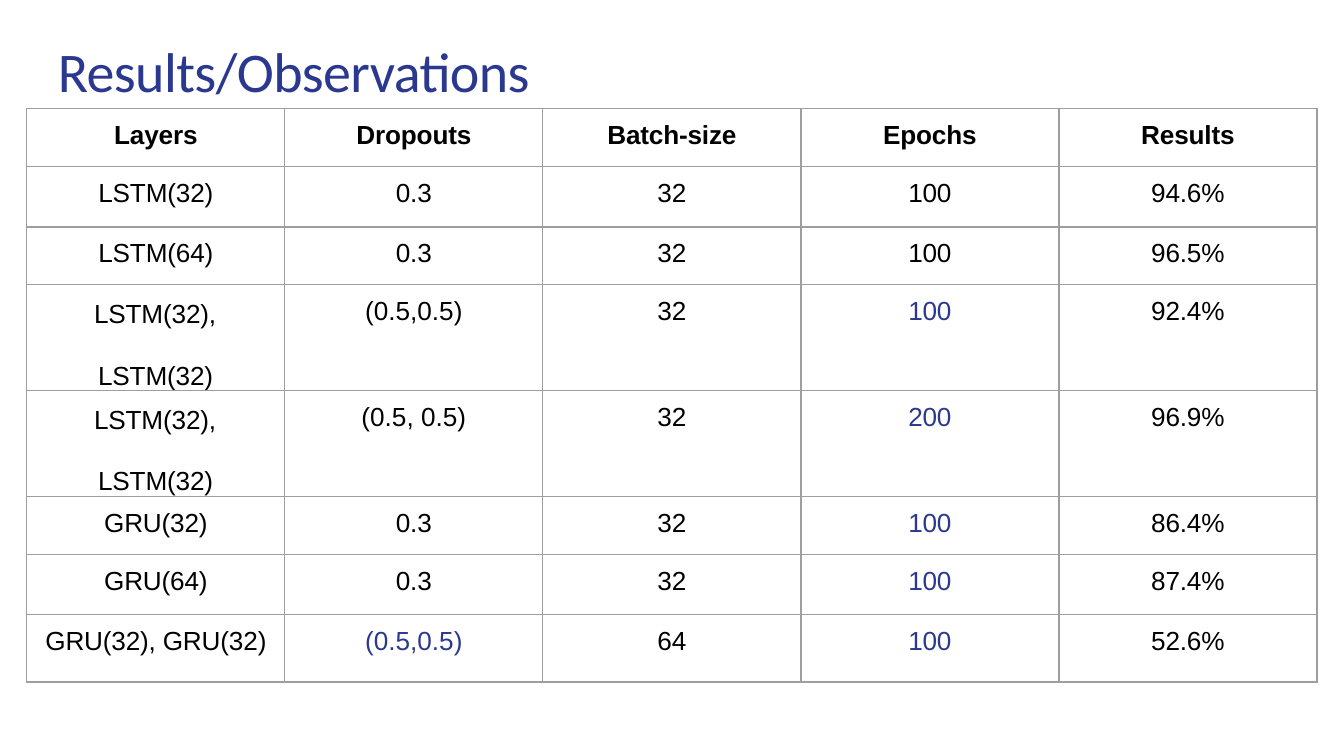
from dataclasses import dataclass

from lxml.etree import SubElement
from pptx import Presentation
from pptx.dml.color import RGBColor
from pptx.enum.text import MSO_ANCHOR, PP_ALIGN
from pptx.oxml.ns import qn
from pptx.util import Inches, Pt

COLORS = {"ink": "000000", "accent": "2A3890", "border": "9E9E9E"}
HEADINGS = ("Layers", "Dropouts", "Batch-size", "Epochs", "Results")
SLIDE_WIDTH = 10
COLUMN_WIDTH = 1.92
HEADING_HEIGHT = 0.43
STACKED_LINE = 16.5


@dataclass(frozen=True)
class Trial:
    """One table row; accents are the columns set in the accent colour."""
    height: float
    values: tuple[str, ...]
    accents: tuple[int, ...] = ()


TRIALS = (
    Trial(0.45, ("LSTM(32)", "0.3", "32", "100", "94.6%")),
    Trial(0.43, ("LSTM(64)", "0.3", "32", "100", "96.5%")),
    Trial(0.66, ("LSTM(32),\nLSTM(32)", "(0.5,0.5)", "32", "100", "92.4%"), (3,)),
    Trial(0.66, ("LSTM(32),\nLSTM(32)", "(0.5, 0.5)", "32", "200", "96.9%"), (3,)),
    Trial(0.43, ("GRU(32)", "0.3", "32", "100", "86.4%"), (3,)),
    Trial(0.45, ("GRU(64)", "0.3", "32", "100", "87.4%"), (3,)),
    Trial(0.5, ("GRU(32), GRU(32)", "(0.5,0.5)", "64", "100", "52.6%"), (1, 3)),
)


def add_span(para, text: str, size: float, font: str, color: str,
             bold: bool = False, spacing: int = 0) -> None:
    """Add a styled run; spacing is in hundredths of a point."""
    span = para.add_run()
    span.text = text
    span.font.size = Pt(size)
    span.font.name = font
    span.font.bold = bold
    span.font.color.rgb = RGBColor.from_string(COLORS[color])
    span.font._element.set("spc", str(spacing))


def set_indent(para, left: float, first: float) -> None:
    """Set the left margin and first-line indent in inches."""
    properties = para._p.get_or_add_pPr()
    properties.set("marL", str(Inches(left)))
    properties.set("indent", str(Inches(first)))


def set_borders(cell) -> None:
    """Draw a thin line on all four sides of a cell."""
    properties = cell._tc.get_or_add_tcPr()
    for position, side in enumerate(("lnL", "lnR", "lnT", "lnB")):
        line = properties.makeelement(qn(f"a:{side}"), {"w": str(Pt(0.75))})
        fill = SubElement(line, qn("a:solidFill"))
        SubElement(fill, qn("a:srgbClr"), val=COLORS["border"])
        properties.insert(position, line)


def fill_cell(cell, text: str, color: str = "ink", bold: bool = False) -> None:
    """Write a cell, stacking its lines when there are several."""
    lines = text.split("\n")
    stacked = len(lines) > 1
    cell.margin_left = cell.margin_right = cell.margin_bottom = 0
    cell.margin_top = Inches(0.1 if stacked else 0.09)
    cell.fill.background()
    set_borders(cell)
    frame = cell.text_frame
    for number, line in enumerate(lines):
        para = frame.add_paragraph() if number else frame.paragraphs[0]
        if stacked:
            set_indent(para, 0.53, 0 if number else -0.03)
            para.line_spacing = Pt(STACKED_LINE)
            para.space_before = Pt(STACKED_LINE if number else 7)
        else:
            para.alignment = PP_ALIGN.CENTER
            para.space_before = Pt(6.2)
        spacing = 0 if line.startswith("(") else -10
        add_span(para, line, 14, "Arial", color, bold, spacing)


def add_title(page, text: str) -> None:
    """Add the slide title."""
    box = page.shapes.add_textbox(Inches(0.42), Inches(0.25), Inches(4.01), Inches(0.53))
    frame = box.text_frame
    frame.word_wrap = True
    frame.vertical_anchor = MSO_ANCHOR.MIDDLE
    frame.margin_left = frame.margin_right = frame.margin_bottom = 0
    frame.margin_top = Inches(0.01)
    para = frame.paragraphs[0]
    set_indent(para, 0.01, 0)
    para.space_before = Pt(1)
    add_span(para, text, 30, "Calibri", "accent", spacing=-30)


def add_results(page) -> None:
    """Add the table of trials below its headings."""
    heights = [HEADING_HEIGHT] + [trial.height for trial in TRIALS]
    table = page.shapes.add_table(
        len(heights), len(HEADINGS), Inches(0.2), Inches(0.81),
        Inches(COLUMN_WIDTH * len(HEADINGS)), Inches(sum(heights))).table
    table.first_row = table.horz_banding = False
    for column in table.columns:
        column.width = Inches(COLUMN_WIDTH)
    for row, height in zip(table.rows, heights):
        row.height = Inches(height)
    for column, heading in enumerate(HEADINGS):
        fill_cell(table.cell(0, column), heading, bold=True)
    for row, trial in enumerate(TRIALS, start=1):
        for column, value in enumerate(trial.values):
            color = "accent" if column in trial.accents else "ink"
            fill_cell(table.cell(row, column), value, color)


def main() -> None:
    """Build and save the widescreen deck."""
    deck = Presentation()
    deck.slide_width = Inches(SLIDE_WIDTH)
    deck.slide_height = Inches(SLIDE_WIDTH * 9 / 16)
    page = deck.slides.add_slide(deck.slide_layouts[6])
    add_results(page)
    add_title(page, "Results/Observations")
    deck.save("out.pptx")


main()
